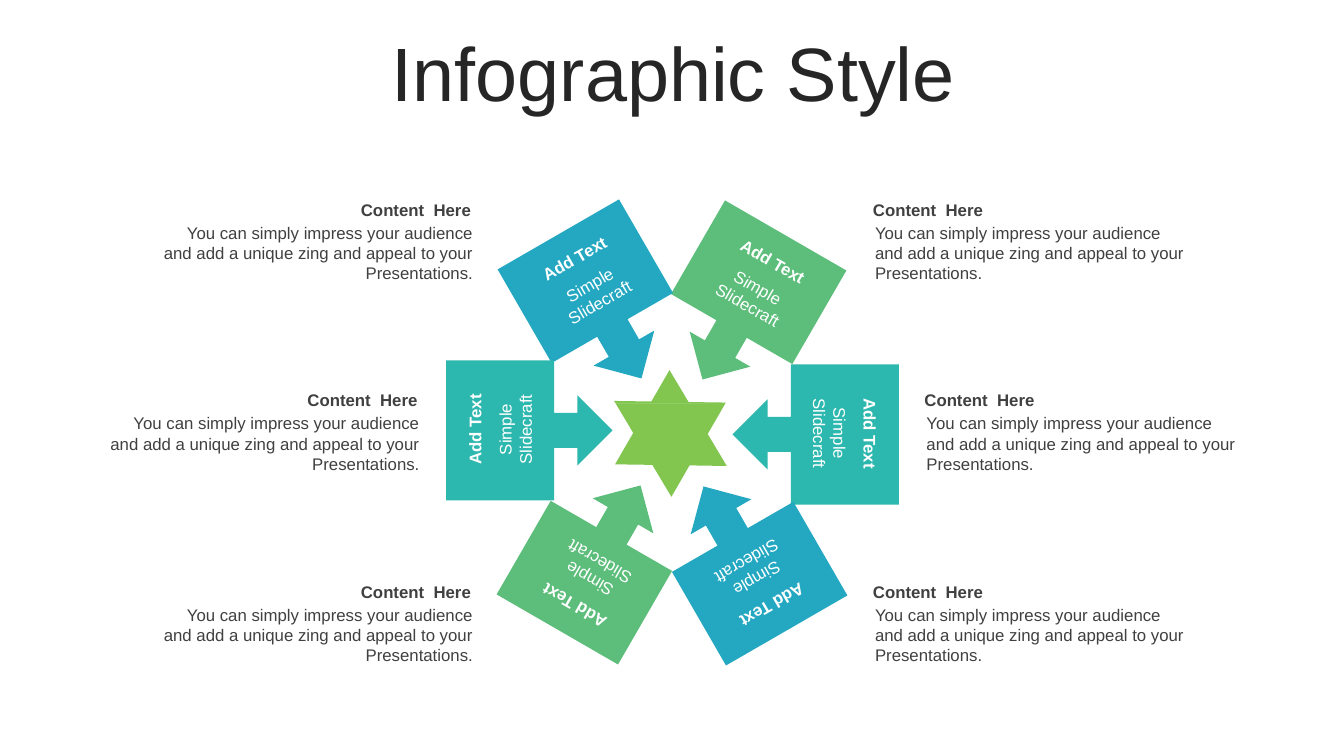
import math

import pptx
import pptx.dml.color
import pptx.enum.shapes
import pptx.enum.text
import pptx.util

Inches = pptx.util.Inches
SHAPE = pptx.enum.shapes.MSO_SHAPE
ALIGN = pptx.enum.text.PP_ALIGN
ANCHOR = pptx.enum.text.MSO_ANCHOR

TITLE = "Infographic Style"
NOTE_HEAD = "Content  Here"
NOTE_BODY = ("You can simply impress your audience and add a unique zing "
             "and appeal to your Presentations.")
CARD_HEAD = "Add Text"
CARD_BODY = "Simple Slidecraft"

GREEN, TEAL, BLUE = "5CBE7A", "2CB8AE", "24A8C2"
LIME, WHITE, GREY, DARK = "82C650", "FFFFFF", "404040", "262626"

# rotation, centre x, centre y, colour, sideways shift of the text
CARDS = [
    (30, 7.38, 3.05, GREEN, 0.02),
    (210, 5.94, 5.53, GREEN, -0.03),
    (90, 8.09, 4.31, TEAL, -0.01),
    (150, 7.39, 5.54, BLUE, 0),
    (330, 5.95, 3.04, BLUE, 0.02),
    (270, 5.25, 4.27, TEAL, 0.01),
]
CARD_W, CARD_H = 1.39, 1.65
# text, distance outward from the card centre, height, bold
CARD_TEXTS = [(CARD_HEAD, 0.54, 0.3, True), (CARD_BODY, 0.14, 0.5, False)]
CARD_TEXT_W = 1.37

NOTE_TOPS = [1.93, 3.82, 5.72]
NOTE_SIDES = [(ALIGN.LEFT, [8.56, 9.07, 8.56]), (ALIGN.RIGHT, [1.49, 0.96, 1.49])]
NOTE_W = 3.28

HUB = (6.65, 4.3)
TEETH = 8
FIRST_TOOTH = -76
TOOTH_OUTLINE = [(-15, 0.155), (-9, 0.195), (9, 0.195), (15, 0.155)]
GEAR_RINGS = [0.14, 0.12, 0.07]


def rgb(color):
    return pptx.dml.color.RGBColor.from_string(color)


def write(tf, text, size=12, color=GREY, bold=False, align=ALIGN.LEFT,
          anchor=ANCHOR.TOP):
    tf.word_wrap = True
    tf.vertical_anchor = anchor
    p = tf.paragraphs[0]
    p.alignment = align
    r = p.add_run()
    r.text = text
    r.font.name = "Arial"
    r.font.size = pptx.util.Pt(size)
    r.font.bold = bold
    r.font.color.rgb = rgb(color)
    return p


def add_text(slide, x, y, w, h, text, rotation=0, **style):
    box = slide.shapes.add_textbox(Inches(x), Inches(y), Inches(w), Inches(h))
    box.rotation = rotation
    write(box.text_frame, text, **style)
    box.text_frame.auto_size = pptx.enum.text.MSO_AUTO_SIZE.SHAPE_TO_FIT_TEXT


def paint(sp, color):
    sp.shadow.inherit = False
    sp.fill.solid()
    sp.fill.fore_color.rgb = rgb(color)
    sp.line.fill.background()


def add_centred(slide, kind, cx, cy, w, h, rotation, color):
    sp = slide.shapes.add_shape(kind, Inches(cx - w / 2), Inches(cy - h / 2),
                                Inches(w), Inches(h))
    sp.rotation = rotation
    paint(sp, color)


def polar(angle, radius):
    a = math.radians(angle)
    return (HUB[0] + radius * math.cos(a), HUB[1] + radius * math.sin(a))


def add_gear(slide):
    teeth = [polar(FIRST_TOOTH + 360 / TEETH * i + turn, radius)
             for i in range(TEETH) for turn, radius in TOOTH_OUTLINE]
    rings = [[polar(a, radius) for a in range(0, 360, 10)]
             for radius in GEAR_RINGS]
    builder = slide.shapes.build_freeform(*teeth[0], scale=Inches(1))
    builder.add_line_segments(teeth[1:], close=True)
    for ring in rings:
        builder.move_to(*ring[0])
        builder.add_line_segments(ring[1:], close=True)
    paint(builder.convert_to_shape(), WHITE)


def add_title(slide):
    title = slide.shapes.title
    title.left, title.top = Inches(0.35), Inches(0.37)
    title.width, title.height = Inches(12.66), Inches(0.79)
    p = write(title.text_frame, TITLE, size=54, color=DARK,
              align=ALIGN.CENTER, anchor=ANCHOR.MIDDLE)
    p.line_spacing = 0.9
    title.text_frame.auto_size = pptx.enum.text.MSO_AUTO_SIZE.NONE


def add_notes(slide):
    for align, lefts in NOTE_SIDES:
        for x, y in zip(lefts, NOTE_TOPS):
            add_text(slide, x, y, NOTE_W, 0.3, NOTE_HEAD, bold=True,
                     align=align, anchor=ANCHOR.MIDDLE)
            add_text(slide, x + 0.02, y + 0.23, NOTE_W, 0.71, NOTE_BODY,
                     align=align)


def add_card_texts(slide):
    for rotation, cx, cy, _, shift in CARDS:
        a = math.radians(rotation)
        for text, out, h, bold in CARD_TEXTS:
            x = cx + out * math.sin(a) + shift * math.cos(a)
            y = cy - out * math.cos(a) + shift * math.sin(a)
            add_text(slide, x - CARD_TEXT_W / 2, y - h / 2, CARD_TEXT_W, h,
                     text, rotation=rotation, color=WHITE, bold=bold,
                     align=ALIGN.CENTER)


def main():
    prs = pptx.Presentation()
    prs.slide_width, prs.slide_height = Inches(13.33), Inches(7.5)
    slide = prs.slides.add_slide(prs.slide_layouts[5])
    add_title(slide)
    add_notes(slide)
    add_centred(slide, SHAPE.STAR_6_POINT, *HUB, 1.08, 1.29, 300, LIME)
    for rotation, cx, cy, color, _ in CARDS:
        add_centred(slide, SHAPE.DOWN_ARROW_CALLOUT, cx, cy, CARD_W, CARD_H,
                    rotation, color)
    add_card_texts(slide)
    add_gear(slide)
    prs.save("out.pptx")


if __name__ == "__main__":
    main()
